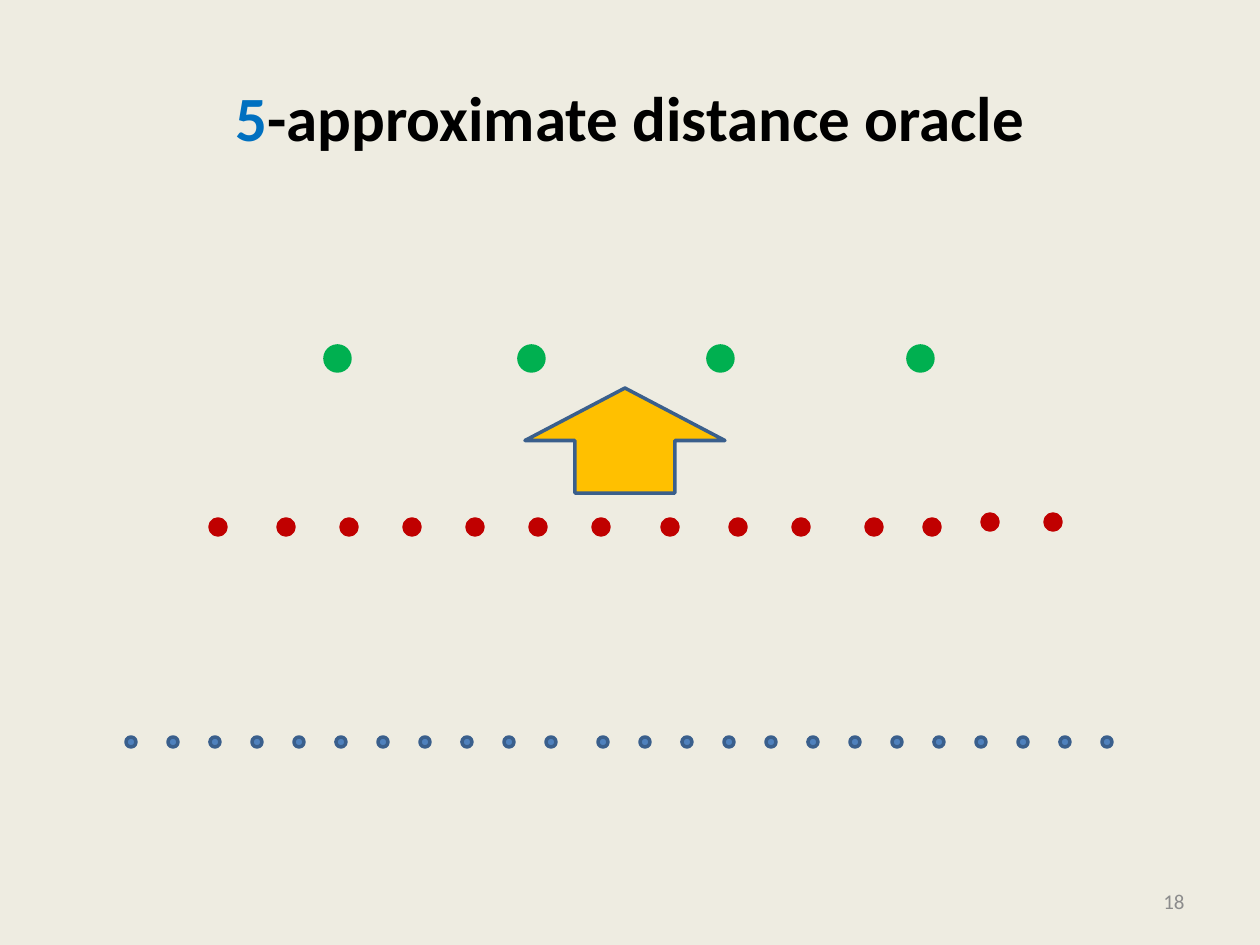
from pptx import Presentation
from pptx.dml.color import RGBColor
from pptx.enum.shapes import MSO_SHAPE
from pptx.enum.text import MSO_ANCHOR, PP_ALIGN
from pptx.util import Pt

EMU_PER_PX = 914400 / 126
OVAL = MSO_SHAPE.OVAL
UP_ARROW = MSO_SHAPE.UP_ARROW
MIDDLE = MSO_ANCHOR.MIDDLE
CENTER = PP_ALIGN.CENTER
RIGHT = PP_ALIGN.RIGHT
FONT = "Calibri"
OUTLINE = "3A5F8C"


def px(length):
    """Turn pixels into EMU."""
    return round(length * EMU_PER_PX)


def color(value):
    """Turn a hex string into a colour."""
    return RGBColor.from_string(value)


def add_shape(shapes, kind, box, fill, line):
    """Add a filled, outlined preset shape in the box."""
    shape = shapes.add_shape(kind, *map(px, box))
    shape.shadow.inherit = False
    shape.fill.solid()
    shape.fill.fore_color.rgb = color(fill)
    shape.line.color.rgb = color(line)
    shape.line.width = Pt(2)


def add_text(slide, box, runs, size, align, bold=False):
    """Add one line of (text, colour) runs in the box."""
    text_box = slide.shapes.add_textbox(*map(px, box))
    frame = text_box.text_frame
    frame.word_wrap = True
    frame.vertical_anchor = MIDDLE
    paragraph = frame.paragraphs[0]
    paragraph.alignment = align
    paragraph.font.name = FONT
    paragraph.font.size = Pt(size)
    paragraph.font.bold = bold
    for text, value in runs:
        run = paragraph.add_run()
        run.text = text
        run.font.color.rgb = color(value)


def add_dot_level(slide, left, top, size, offsets, fill, line):
    """Group a level of dots at (x, y) offsets from its left top corner."""
    group = slide.shapes.add_group_shape()
    for x, y in offsets:
        add_shape(group.shapes, OVAL, (left + x, top + y, size, size), fill, line)


def add_hierarchy(slide, left, top):
    """Draw the three vertex levels and the arrow between the upper two."""
    vertices = [(42 * i + (10 if i > 10 else 0), 391) for i in range(24)]
    add_dot_level(slide, left, top, 10, vertices, "4F81BD", OUTLINE)

    red_columns = (84, 152, 215, 278, 341, 404, 467, 536, 604, 667, 740, 798)
    samples = [(x, 173) for x in red_columns] + [(856, 168), (919, 168)]
    add_dot_level(slide, left, top, 16, samples, "C00000", "C00000")

    centers = [(x, 0) for x in (199, 393, 582, 782)]
    add_dot_level(slide, left, top, 25, centers, "00B050", "00B050")

    arrow_box = (left + 399, top + 42, 200, 105)
    add_shape(slide.shapes, UP_ARROW, arrow_box, "FFC000", OUTLINE)


def main():
    """Build and save the slide."""
    presentation = Presentation()
    presentation.slide_width = px(1260)
    presentation.slide_height = px(945)
    slide = presentation.slides.add_slide(presentation.slide_layouts[6])
    slide.background.fill.solid()
    slide.background.fill.fore_color.rgb = color("EEECE1")

    title = [("5", "0070C0"), ("-approximate distance oracle", "000000")]
    add_text(slide, (63, 38, 1134, 157), title, 36, CENTER, True)
    add_text(slide, (903, 876, 294, 50), [("18", "8C8C8C")], 12, RIGHT)
    add_hierarchy(slide, 126, 346)
    presentation.save("out.pptx")


if __name__ == "__main__":
    main()
